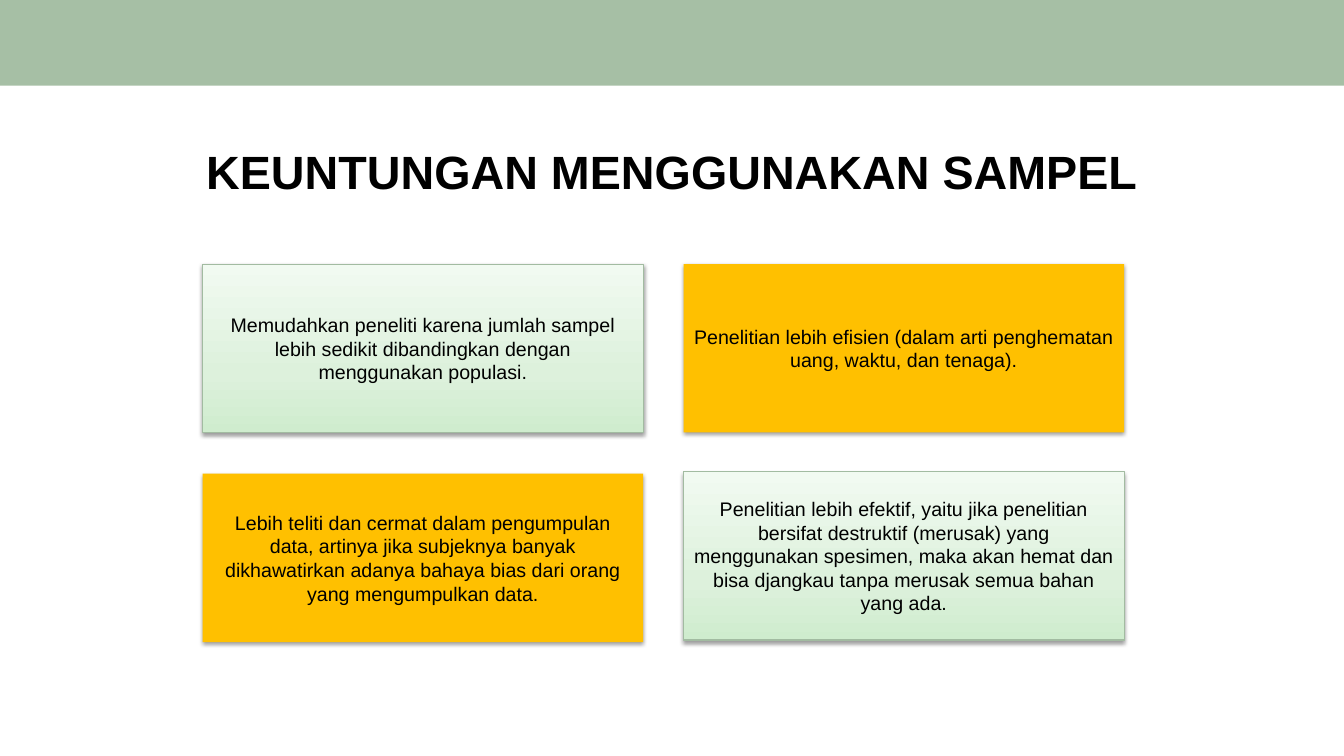
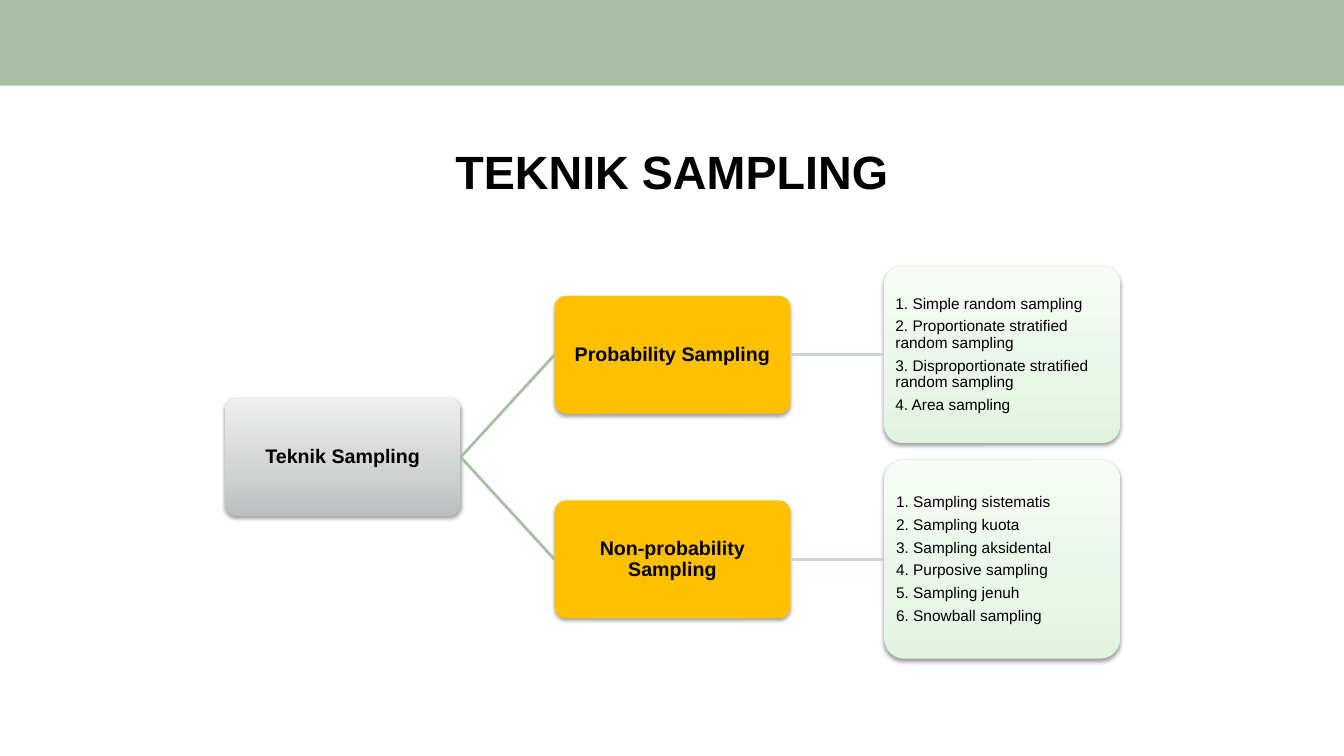
from copy import deepcopy

from lxml import etree
from pptx import Presentation
from pptx.dml.color import RGBColor
from pptx.enum.shapes import MSO_CONNECTOR, MSO_SHAPE
from pptx.enum.text import MSO_ANCHOR, PP_ALIGN
from pptx.oxml.ns import qn
from pptx.util import Inches, Pt

FONT = "Arial"
SLIDE_WIDTH, SLIDE_HEIGHT = 13.33, 7.5

BLACK = RGBColor(0x00, 0x00, 0x00)
SAGE = RGBColor(0xA6, 0xBF, 0xA5)
PALE_SAGE = RGBColor(0xC9, 0xD8, 0xC8)
CARD_EDGE = RGBColor(0xA2, 0xBB, 0xA1)
AMBER = RGBColor(0xFF, 0xC0, 0x00)

# Gradients run from the bottom up, with colours at GRADIENT_POSITIONS
GRADIENT_POSITIONS = (0, 0.35, 1)
GREEN_GRADIENT = tuple(map(RGBColor.from_string, ("CFECCE", "DDF1DC", "F1FAF1")))
LIGHT_GREEN_GRADIENT = tuple(map(RGBColor.from_string, ("E0F3DF", "E9F6E8", "F6FCF5")))
GREY_GRADIENT = tuple(map(RGBColor.from_string, ("BCBDBE", "D0D1D1", "EEEEEE")))

ADVANTAGES_TITLE = "KEUNTUNGAN MENGGUNAKAN SAMPEL"
# Each card: left, top, fill, edge, text
ADVANTAGES = [
    (2.01, 2.62, GREEN_GRADIENT, CARD_EDGE,
     "Memudahkan peneliti karena jumlah sampel lebih sedikit dibandingkan "
     "dengan menggunakan populasi."),
    (6.78, 2.62, AMBER, None,
     "Penelitian lebih efisien (dalam arti penghematan uang, waktu, dan tenaga)."),
    (2.01, 4.7, AMBER, None,
     "Lebih teliti dan cermat dalam pengumpulan data, artinya jika subjeknya "
     "banyak dikhawatirkan adanya bahaya bias dari orang yang mengumpulkan data."),
    (6.78, 4.68, GREEN_GRADIENT, CARD_EDGE,
     "Penelitian lebih efektif, yaitu jika penelitian bersifat destruktif "
     "(merusak) yang menggunakan spesimen, maka akan hemat dan bisa djangkau "
     "tanpa merusak semua bahan yang ada."),
]
CARD_WIDTH, CARD_HEIGHT = 4.37, 1.67

TECHNIQUES_TITLE = "TEKNIK SAMPLING"
ROOT_LABEL = "Teknik Sampling"
# Each branch: label, vertical centre, height of its list, list items
BRANCHES = [
    ("Probability Sampling", 3.52, 1.75, [
        "1. Simple random sampling",
        "2. Proportionate stratified random sampling",
        "3. Disproportionate stratified random sampling",
        "4. Area sampling",
    ]),
    ("Non-probability Sampling", 5.55, 1.97, [
        "1. Sampling sistematis",
        "2. Sampling kuota",
        "3. Sampling aksidental",
        "4. Purposive sampling",
        "5. Sampling jenuh",
        "6. Snowball sampling",
    ]),
]
NODE_WIDTH, NODE_HEIGHT = 2.34, 1.17
ROOT_LEFT, COLUMN_PITCH = 2.23, 3.27
BRANCH_LEFT = ROOT_LEFT + COLUMN_PITCH
LIST_LEFT = BRANCH_LEFT + COLUMN_PITCH


def write_text(shape, lines, *, size, bold=False, align=PP_ALIGN.CENTER,
               anchor=MSO_ANCHOR.MIDDLE, margins=(0.1, 0.05, 0.1, 0.05),
               line_spacing=1.0, space_after=0):
    """Write one paragraph per line; margins are left, top, right, bottom in inches."""
    frame = shape.text_frame
    frame.word_wrap = True
    frame.vertical_anchor = anchor
    (frame.margin_left, frame.margin_top,
     frame.margin_right, frame.margin_bottom) = map(Inches, margins)
    for index, line in enumerate(lines):
        paragraph = frame.add_paragraph() if index else frame.paragraphs[0]
        paragraph.alignment = align
        paragraph.line_spacing = line_spacing
        paragraph.space_after = Pt(space_after)
        run = paragraph.add_run()
        run.text = line
        run.font.name = FONT
        run.font.size = Pt(size)
        run.font.bold = bold
        run.font.color.rgb = BLACK


def paint(shape, fill, edge=None):
    """Fill with one colour or a tuple of gradient colours, and draw the edge if any."""
    if isinstance(fill, RGBColor):
        shape.fill.solid()
        shape.fill.fore_color.rgb = fill
    else:
        shape.fill.gradient()
        shape.fill.gradient_angle = 90
        stop_list = shape._element.spPr.find(".//" + qn("a:gsLst"))
        stop_list.append(deepcopy(stop_list[-1]))
        for stop, position, color in zip(shape.fill.gradient_stops, GRADIENT_POSITIONS, fill):
            stop.position = position
            stop.color.rgb = color
    if edge is None:
        shape.line.fill.background()
    else:
        shape.line.color.rgb = edge
        shape.line.width = Pt(0.75)
    shape.shadow.inherit = False


def add_soft_shadow(shape):
    effects = shape._element.spPr.find(qn("a:effectLst"))
    shadow = etree.SubElement(
        effects, qn("a:outerShdw"), blurRad=str(Pt(3.1)), dist=str(Pt(1.6)),
        dir="5400000", rotWithShape="0")
    color = etree.SubElement(shadow, qn("a:srgbClr"), val="000000")
    etree.SubElement(color, qn("a:alpha"), val="38000")


def add_box(slide, kind, left, top, width, height, fill, edge=None):
    box = slide.shapes.add_shape(
        kind, Inches(left), Inches(top), Inches(width), Inches(height))
    paint(box, fill, edge)
    return box


def add_node(slide, left, center, fill, height=NODE_HEIGHT):
    """Add a rounded tree node centred vertically on center."""
    node = add_box(slide, MSO_SHAPE.ROUNDED_RECTANGLE,
                   left, center - height / 2, NODE_WIDTH, height, fill)
    node.adjustments[0] = 0.1
    add_soft_shadow(node)
    return node


def join(slide, parent, child, color):
    """Connect the right side of parent to the left side of child."""
    connector = slide.shapes.add_connector(MSO_CONNECTOR.STRAIGHT, 0, 0, 0, 0)
    connector.begin_connect(parent, 3)
    connector.end_connect(child, 1)
    connector.line.color.rgb = color
    connector.line.width = Pt(2)
    etree.SubElement(connector._element.spPr, qn("a:effectLst"))


def add_titled_slide(presentation, title):
    slide = presentation.slides.add_slide(presentation.slide_layouts[6])
    add_box(slide, MSO_SHAPE.RECTANGLE, 0, 0, SLIDE_WIDTH, 0.85, SAGE)
    title_box = slide.shapes.add_textbox(
        Inches(0.97), Inches(1.27), Inches(11.39), Inches(0.93))
    write_text(title_box, [title], size=33.3, bold=True, anchor=MSO_ANCHOR.TOP,
               margins=(0.1, 0.15, 0.1, 0.1))
    return slide


def build_advantages(presentation):
    slide = add_titled_slide(presentation, ADVANTAGES_TITLE)
    for left, top, fill, edge, text in ADVANTAGES:
        card = add_box(slide, MSO_SHAPE.RECTANGLE, left, top,
                       CARD_WIDTH, CARD_HEIGHT, fill, edge)
        add_soft_shadow(card)
        write_text(card, [text], size=14)


def build_techniques(presentation):
    slide = add_titled_slide(presentation, TECHNIQUES_TITLE)
    label_format = dict(size=14, bold=True, margins=(0.04,) * 4, line_spacing=0.9)
    list_format = dict(size=11, align=PP_ALIGN.LEFT, margins=(0.06,) * 4,
                       line_spacing=0.9, space_after=4.3)

    root_center = sum(center for _, center, _, _ in BRANCHES) / len(BRANCHES)
    root = add_node(slide, ROOT_LEFT, root_center, GREY_GRADIENT)
    write_text(root, [ROOT_LABEL], **label_format)
    for label, center, list_height, items in BRANCHES:
        branch = add_node(slide, BRANCH_LEFT, center, AMBER)
        write_text(branch, [label], **label_format)
        method_list = add_node(slide, LIST_LEFT, center, LIGHT_GREEN_GRADIENT, list_height)
        write_text(method_list, items, **list_format)
        join(slide, root, branch, SAGE)
        join(slide, branch, method_list, PALE_SAGE)


def main():
    presentation = Presentation()
    presentation.slide_width = Inches(SLIDE_WIDTH)
    presentation.slide_height = Inches(SLIDE_HEIGHT)
    build_advantages(presentation)
    build_techniques(presentation)
    presentation.save("out.pptx")


if __name__ == "__main__":
    main()
